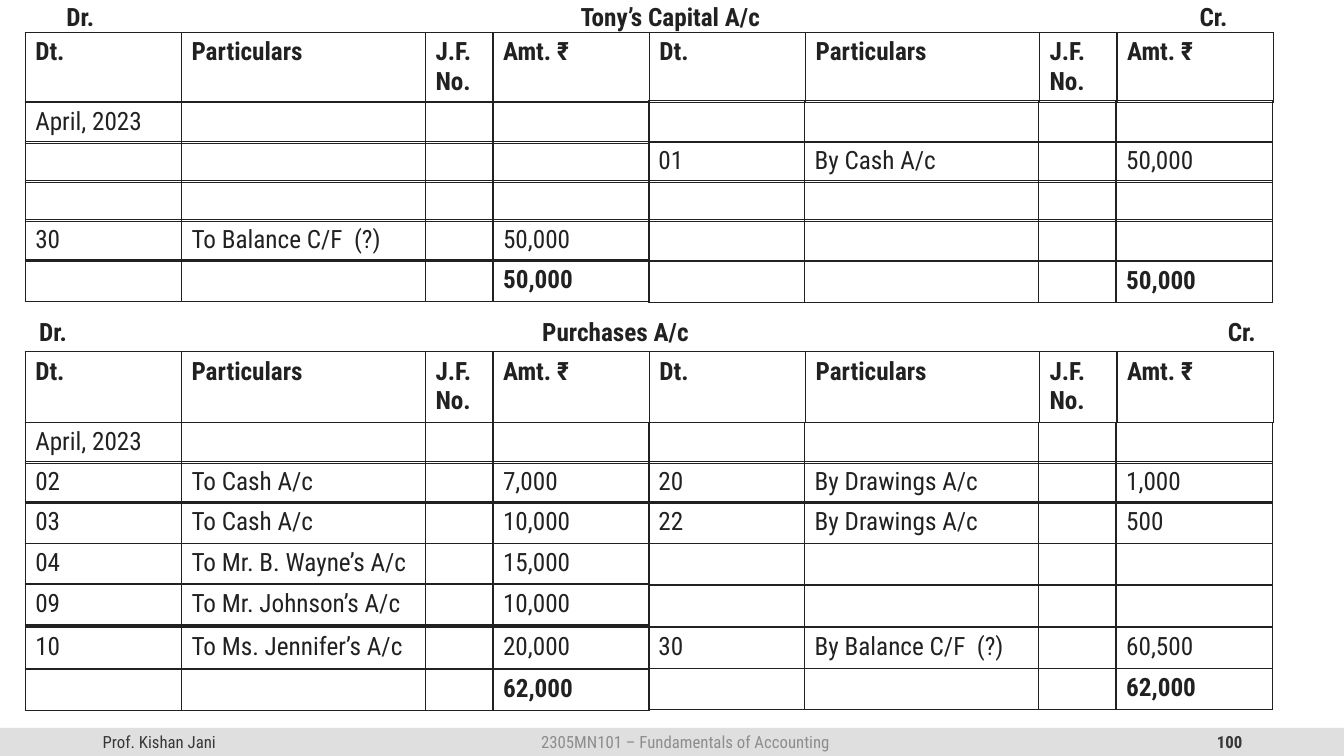
"""Build a slide with two ledger accounts: Tony's Capital A/c and Purchases A/c."""
from lxml.etree import SubElement
from pptx import Presentation
from pptx.dml.color import RGBColor
from pptx.enum.shapes import MSO_SHAPE
from pptx.enum.text import MSO_ANCHOR, PP_ALIGN
from pptx.oxml.ns import qn
from pptx.util import Inches, Pt

COLORS = {"ink": "212121", "bar": "DFDFDF", "footer": "373737", "course": "8D8D8D"}
LEFT, MIDDLE = 0.25, 6.43
DEBIT_COLUMNS = [1.55, 2.42, 0.67, 1.55]
CREDIT_COLUMNS = [1.55, 2.32, 0.77, 1.55]
HEADINGS = ["Dt.", "Particulars", "J.F.\nNo.", "Amt. ₹"]
BLANK = ["", "", "", ""]

ACCOUNTS = [
    {
        "title": "Tony’s Capital A/c", "title_top": -0.04, "tabs": [0.31, 5.41, 11.55],
        "header_top": 0.32,
        "debit": [
            (1.01, ["April, 2023", "", "", ""]),
            (1.4, BLANK),
            (1.79, BLANK),
            (2.18, ["30", "To Balance C/F  (?)", "", "50,000"]),
            (2.58, ["", "", "", "50,000"]),
        ],
        "credit": [
            (1, BLANK),
            (1.4, ["01", "By Cash A/c", "", "50,000"]),
            (1.79, BLANK),
            (2.18, BLANK),
            (2.59, ["", "", "", "50,000"]),
        ],
    },
    {
        "title": "Purchases A/c", "title_top": 3.09, "tabs": [0.04, 5.03, 11.83],
        "header_top": 3.49,
        "debit": [
            (4.19, ["April, 2023", "", "", ""]),
            (4.58, ["02", "To Cash A/c", "", "7,000"]),
            (4.98, ["03", "To Cash A/c", "", "10,000"]),
            (5.39, ["04", "To Mr. B. Wayne’s A/c", "", "15,000"]),
            (5.79, ["09", "To Mr. Johnson’s A/c", "", "10,000"]),
            (6.22, ["10", "To Ms. Jennifer’s A/c", "", "20,000"]),
            (6.64, ["", "", "", "62,000"]),
        ],
        "credit": [
            (4.19, BLANK),
            (4.58, ["20", "By Drawings A/c", "", "1,000"]),
            (4.98, ["22", "By Drawings A/c", "", "500"]),
            (5.39, BLANK),
            (5.81, BLANK),
            (6.22, ["30", "By Balance C/F  (?)", "", "60,500"]),
            (6.63, ["", "", "", "62,000"]),
        ],
    },
]


def write(frame, text, color="ink", size=18, bold=False, align=PP_ALIGN.LEFT):
    frame.text = text
    for paragraph in frame.paragraphs:
        paragraph.alignment = align
        for run in paragraph.runs:
            font_format = {"name": "Roboto Condensed", "size": Pt(size), "bold": bold}
            for name, value in font_format.items():
                setattr(run.font, name, value)
            run.font.color.rgb = RGBColor.from_string(COLORS[color])


def add_row(left, top, columns, texts, height=0.41, bold=False):
    table = slide.shapes.add_table(
        1, len(columns), Inches(left), Inches(top), Inches(sum(columns)), Inches(height)
    ).table
    table.first_row = table.horz_banding = False
    for column, width in zip(table.columns, columns):
        column.width = Inches(width)
    for cell, text in zip(table.rows[0].cells, texts):
        properties = cell._tc.get_or_add_tcPr()
        for side in ("a:lnL", "a:lnR", "a:lnT", "a:lnB"):
            border = SubElement(properties, qn(side), w=str(Pt(1)))
            fill = SubElement(border, qn("a:solidFill"))
            SubElement(fill, qn("a:srgbClr"), val=COLORS["ink"])
        cell.fill.background()
        write(cell.text_frame, text, bold=bold)


presentation = Presentation()
presentation.slide_width = Inches(13.33)
presentation.slide_height = Inches(7.5)
slide = presentation.slides.add_slide(presentation.slide_layouts[6])

bar = slide.shapes.add_shape(
    MSO_SHAPE.ROUNDED_RECTANGLE, 0, Inches(7.22), Inches(13.33), Inches(0.28)
)
bar.adjustments[0] = 0
bar.shadow.inherit = False
bar.fill.solid()
bar.fill.fore_color.rgb = RGBColor.from_string(COLORS["bar"])
bar.line.fill.background()

FOOTERS = [
    (0.92, 3, "Prof. Kishan Jani", "footer", False, PP_ALIGN.LEFT),
    (9.42, 3, "100", "footer", True, PP_ALIGN.RIGHT),
    (4.18, 5.24, "2305MN101 – Fundamentals of Accounting", "course", False, PP_ALIGN.CENTER),
]
for left, width, text, color, bold, align in FOOTERS:
    frame = slide.shapes.add_textbox(
        Inches(left), Inches(7.22), Inches(width), Inches(0.28)
    ).text_frame
    frame.word_wrap = True
    frame.vertical_anchor = MSO_ANCHOR.MIDDLE
    write(frame, text, color, 12, bold, align)

for account in ACCOUNTS:
    add_row(LEFT, account["header_top"], DEBIT_COLUMNS + CREDIT_COLUMNS,
            HEADINGS * 2, height=0.7, bold=True)

    frame = slide.shapes.add_textbox(
        Inches(LEFT), Inches(account["title_top"]), Inches(12.36), Inches(0.4)
    ).text_frame
    frame.word_wrap = True
    write(frame, f"\tDr.\t{account['title']}\tCr.", bold=True)
    tab_list = SubElement(frame.paragraphs[0]._p.get_or_add_pPr(), qn("a:tabLst"))
    for position in account["tabs"]:
        SubElement(tab_list, qn("a:tab"), pos=str(Inches(position)), algn="l")

    for side, left, columns in (("debit", LEFT, DEBIT_COLUMNS),
                                ("credit", MIDDLE, CREDIT_COLUMNS)):
        total_row = account[side][-1]
        for row in account[side]:
            top, texts = row
            add_row(left, top, columns, texts, bold=row is total_row)

presentation.save("out.pptx")
